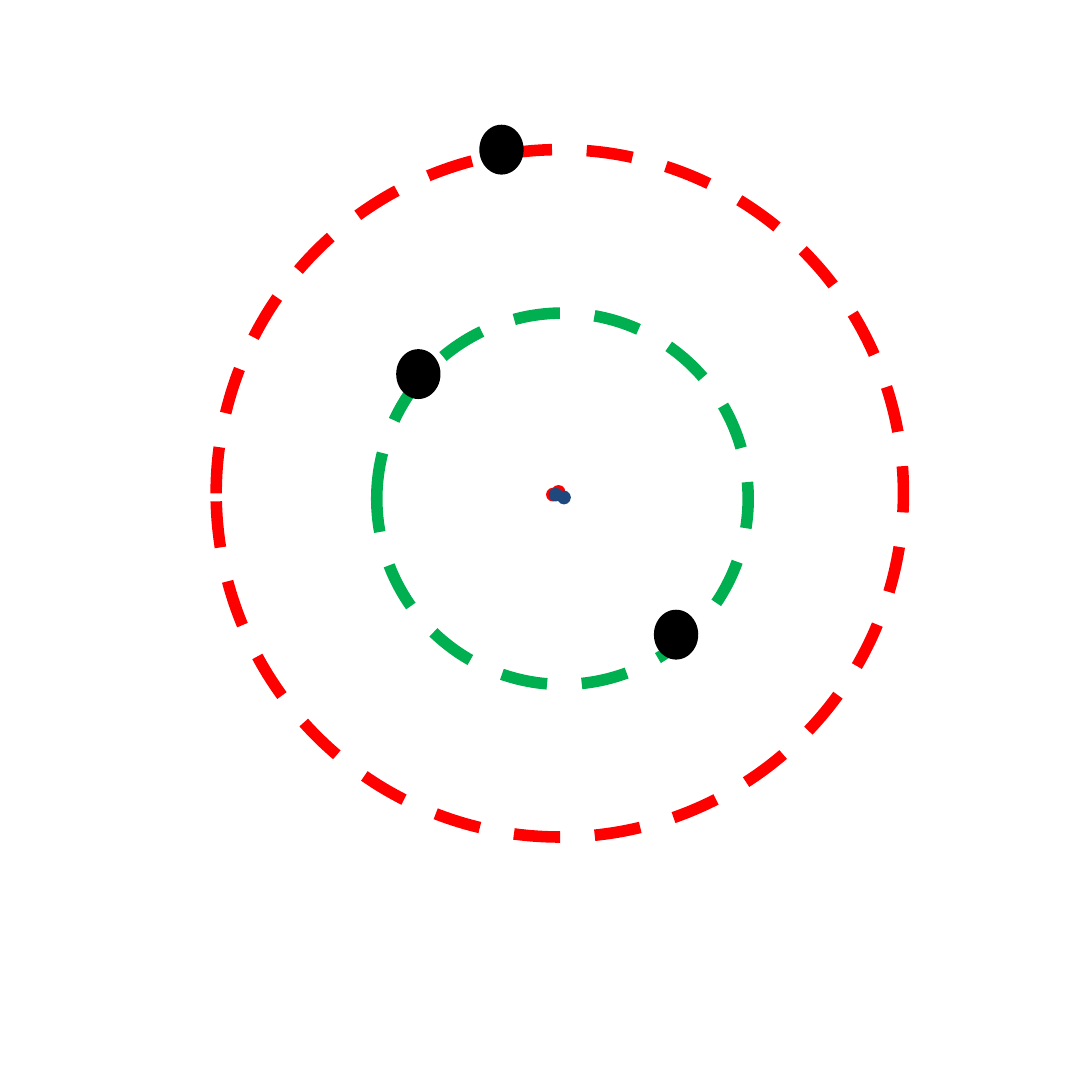
from pptx import Presentation
from pptx.dml.color import RGBColor
from pptx.enum import dml, shapes
from pptx.util import Inches, Pt

SLIDE_SIZE = 3.94
NUCLEON_SIZE = (0.05, 0.05)
ELECTRON_SIZE = (0.16, 0.18)
ELECTRON_COLOUR = "000000"

# (left, top, colour), back to front
NUCLEONS = [
    (1.97, 1.76, "FF0000"),
    (1.99, 1.75, "FF0000"),
    (2.01, 1.77, "1F497D"),
    (1.98, 1.76, "1F497D"),
]
# Inner shell first; electrons are (left, top)
SHELLS = [
    {"corner": (1.36, 1.13), "diameter": 1.34, "colour": "00B050",
     "electrons": [(1.43, 1.26), (2.36, 2.2)]},
    {"corner": (0.78, 0.54), "diameter": 2.48, "colour": "FF0000",
     "electrons": [(1.73, 0.45)]},
]


def colour(hex_value):
    return RGBColor.from_string(hex_value)


def add_ellipse(slide, corner, size):
    box = [Inches(length) for length in (*corner, *size)]
    shape = slide.shapes.add_shape(shapes.MSO_SHAPE.OVAL, *box)
    shape.shadow.inherit = False
    return shape


def add_particle(slide, corner, size, fill):
    shape = add_ellipse(slide, corner, size)
    shape.fill.solid()
    shape.fill.fore_color.rgb = colour(fill)
    shape.line.fill.background()


def add_orbit(slide, corner, diameter, line_colour):
    shape = add_ellipse(slide, corner, (diameter, diameter))
    shape.fill.background()
    shape.line.color.rgb = colour(line_colour)
    line_format = {"width": Pt(3), "dash_style": dml.MSO_LINE.DASH}
    for name, value in line_format.items():
        setattr(shape.line, name, value)


def main():
    presentation = Presentation()
    presentation.slide_width = presentation.slide_height = Inches(SLIDE_SIZE)
    slide = presentation.slides.add_slide(presentation.slide_layouts[6])

    for left, top, fill in NUCLEONS:
        add_particle(slide, (left, top), NUCLEON_SIZE, fill)
    for shell in SHELLS:
        add_orbit(slide, shell["corner"], shell["diameter"], shell["colour"])
        for corner in shell["electrons"]:
            add_particle(slide, corner, ELECTRON_SIZE, ELECTRON_COLOUR)

    presentation.save("out.pptx")


if __name__ == "__main__":
    main()
